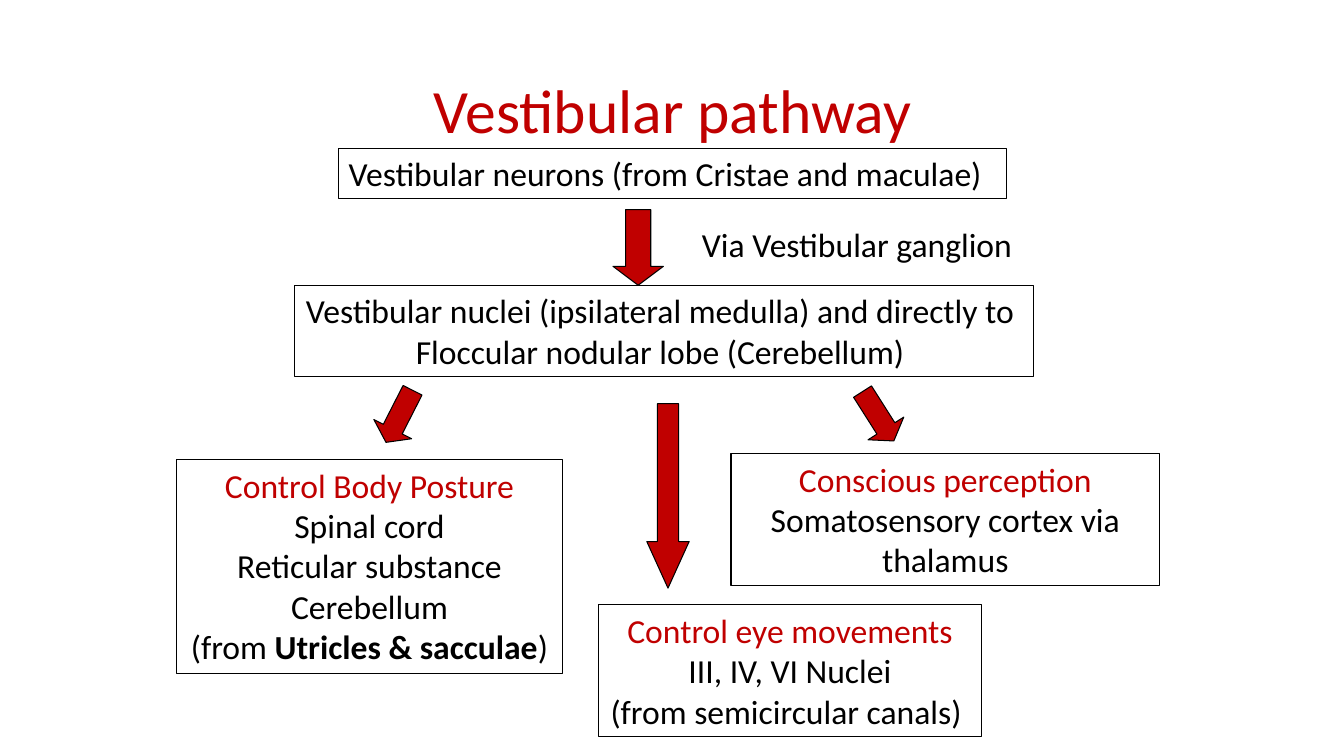
from pptx import Presentation
from pptx.dml.color import RGBColor
from pptx.enum.shapes import MSO_SHAPE
from pptx.enum.text import MSO_ANCHOR, MSO_AUTO_SIZE, PP_ALIGN
from pptx.util import Emu, Pt

RED = RGBColor(0xC0, 0x00, 0x00)
BLACK = RGBColor(0x00, 0x00, 0x00)
RECTANGLE = MSO_SHAPE.RECTANGLE
DOWN_ARROW = MSO_SHAPE.DOWN_ARROW
RIGHT_ARROW = MSO_SHAPE.RIGHT_ARROW
LEFT = PP_ALIGN.LEFT
CENTER = PP_ALIGN.CENTER
MIDDLE = MSO_ANCHOR.MIDDLE
TOP = MSO_ANCHOR.TOP
GROW = MSO_AUTO_SIZE.SHAPE_TO_FIT_TEXT
TITLE_ONLY = 5
EMU_PER_PX = 9144


def px(*lengths):
    return [Emu(length * EMU_PER_PX) for length in lengths]


class PathwaySlide:
    font_name = "Calibri"
    title_size = Pt(44)
    body_size = Pt(24)
    line_width = Pt(0.75)

    def __init__(self, deck):
        self.page = deck.slides.add_slide(deck.slide_layouts[TITLE_ONLY])

    def style_paragraph(self, para, size, color, align):
        para.alignment = align
        para.font.name = self.font_name
        para.font.size = size
        para.font.color.rgb = color

    def outline(self, shape):
        shape.shadow.inherit = False
        shape.line.color.rgb = BLACK
        shape.line.width = self.line_width

    def title(self, text, *frame):
        title = self.page.shapes.title
        title.left, title.top, title.width, title.height = px(*frame)
        title.text_frame.text = text
        title.text_frame.vertical_anchor = MIDDLE
        para = title.text_frame.paragraphs[0]
        para.line_spacing = 0.9
        self.style_paragraph(para, self.title_size, RED, CENTER)

    def fill_text(self, shape, lines, heading, align, wrap):
        frame = shape.text_frame
        frame.word_wrap = wrap
        frame.auto_size = GROW
        frame.vertical_anchor = TOP
        for index, line in enumerate(lines):
            para = frame.paragraphs[0] if index == 0 else frame.add_paragraph()
            color = RED if heading and index == 0 else BLACK
            for position, text in enumerate(line.split("**")):
                span = para.add_run()
                span.text = text
                if position % 2:
                    span.font.bold = True
            self.style_paragraph(para, self.body_size, color, align)

    def box(self, lines, *frame, heading=False, align=CENTER, wrap=True):
        box = self.page.shapes.add_shape(RECTANGLE, *px(*frame))
        box.fill.background()
        self.outline(box)
        self.fill_text(box, lines, heading, align, wrap)

    def label(self, text, *frame):
        label = self.page.shapes.add_textbox(*px(*frame))
        self.fill_text(label, [text], False, CENTER, True)

    def arrow(self, kind, *frame, head, rotation=0):
        arrow = self.page.shapes.add_shape(kind, *px(*frame))
        arrow.adjustments[0] = 0.5
        arrow.adjustments[1] = head
        arrow.rotation = rotation
        arrow.fill.solid()
        arrow.fill.fore_color.rgb = RED
        self.outline(arrow)


def main():
    deck = Presentation()
    deck.slide_width, deck.slide_height = px(1333, 750)
    slide = PathwaySlide(deck)

    slide.title("Vestibular pathway", 92, 40, 1150, 145)
    slide.box(["Vestibular neurons (from Cristae and maculae)"],
              336, 147, 662, 50, align=LEFT, wrap=False)
    slide.label("Via Vestibular ganglion", 625, 217, 450, 50)
    slide.box(["Vestibular nuclei (ipsilateral medulla) and directly to ",
               "Floccular nodular lobe (Cerebellum) "],
              292, 283, 733, 91)

    slide.arrow(DOWN_ARROW, 608, 208, 50, 75, head=0.375)
    slide.arrow(RIGHT_ARROW, 571, 471, 183, 42, head=1.1, rotation=90)
    for left, rotation in ((367, 117), (842, 57.6)):
        slide.arrow(RIGHT_ARROW, left, 392, 58, 42, head=0.35, rotation=rotation)

    slide.box(["Control eye movements", "III, IV, VI Nuclei",
               "(from semicircular canals) "],
              594, 600, 379, 131, heading=True, wrap=False)
    slide.box(["Control Body Posture", "Spinal cord", "Reticular substance",
               "Cerebellum", "(from **Utricles & sacculae**)"],
              175, 456, 383, 212, heading=True)
    slide.box(["Conscious perception", "Somatosensory cortex via thalamus"],
              725, 450, 425, 131, heading=True)

    deck.save("out.pptx")


if __name__ == "__main__":
    main()
